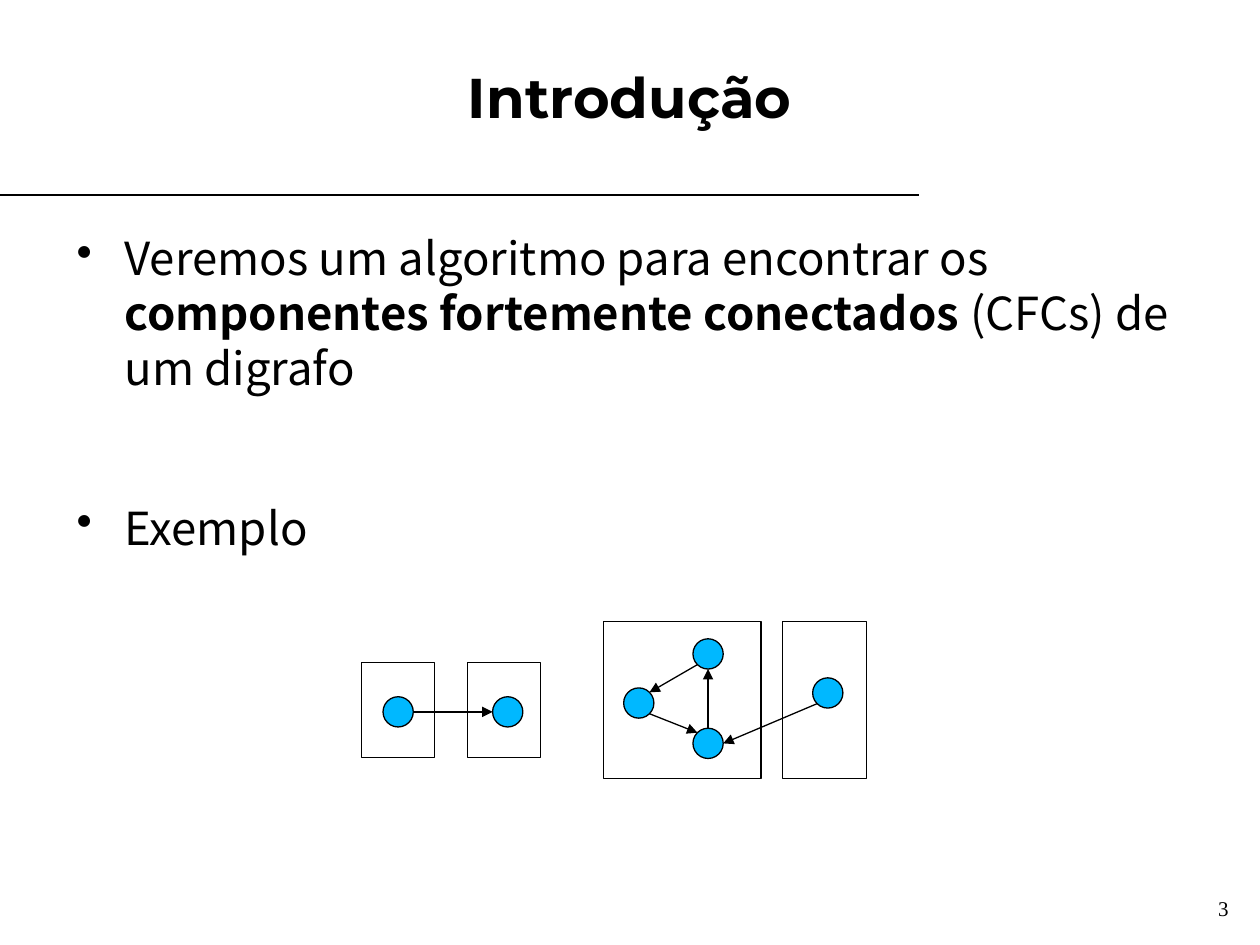
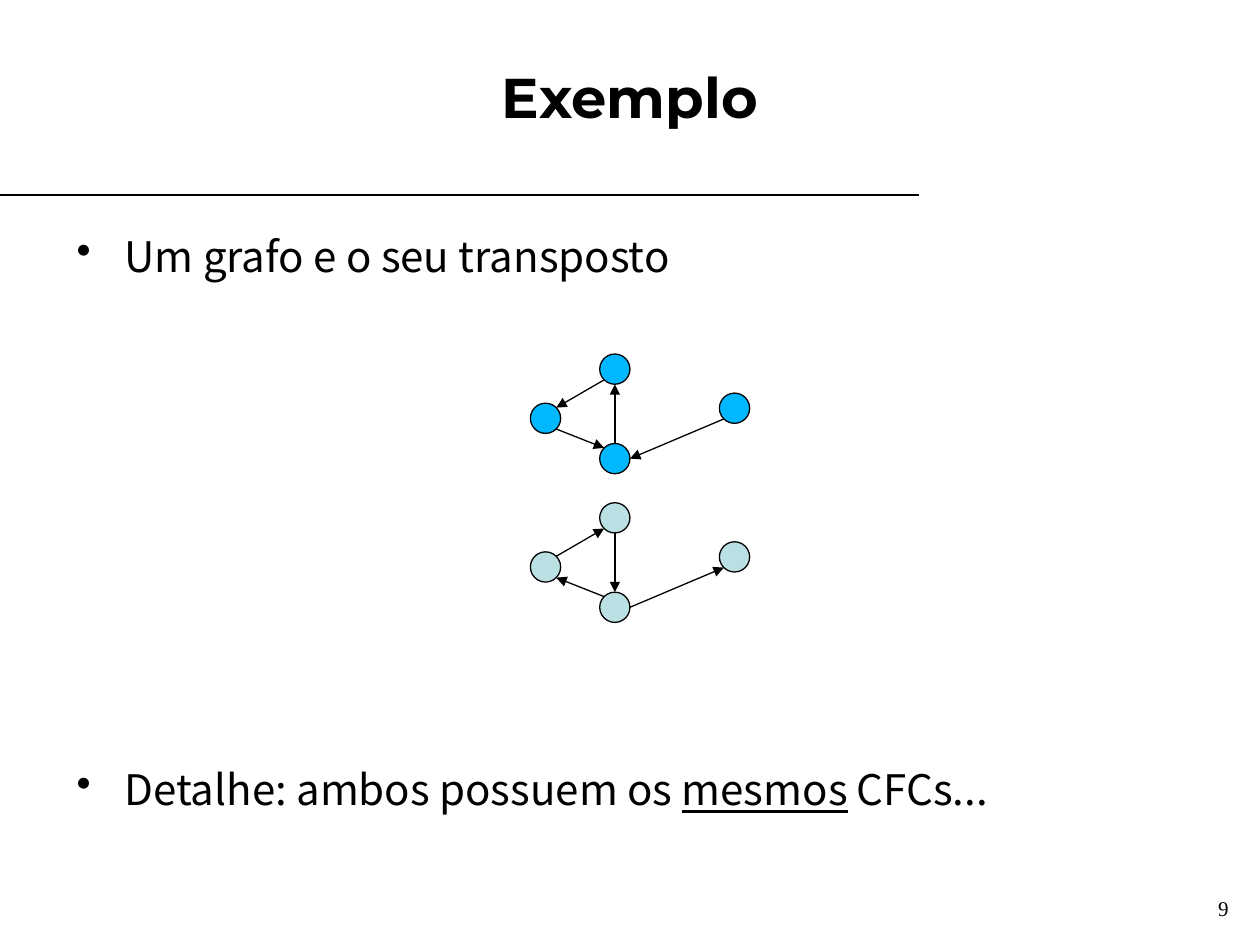
from math import cos, radians, sin

from lxml.etree import SubElement
from pptx import Presentation
from pptx.dml.color import RGBColor
from pptx.enum.shapes import MSO_CONNECTOR, MSO_SHAPE
from pptx.enum.text import MSO_ANCHOR, PP_ALIGN
from pptx.oxml.ns import qn
from pptx.util import Inches, Pt

HUES = {"ink": "000000", "node": "00B8FF", "flip": "BBE0E3"}
INK = RGBColor.from_string(HUES["ink"])
RAD = 0.12  # node radius

# Graphs: node centres from the first node, and edges as
# (from node, angle, to node, angle), angles clockwise from the right
PAIR = ([(0, 0), (0.87, 0)], [(0, 0, 1, 180)])
MESH = (
    [(0, 0), (0.55, 0.32), (0.55, -0.39), (1.5, -0.08)],
    [(2, 135, 0, 315), (0, 45, 1, 225), (1, 270, 2, 90), (3, 135, 1, 0)],
)

# Each run is (text, style); each graph is (x, y, graph, fill)
PAGES = [
    {
        "title": "Introdução", "num": "3", "size": 26, "gap": 55.4,
        "items": [
            [("Veremos um algoritmo para encontrar os ", ""),
             ("componentes fortemente conectados", "bold"),
             (" (CFCs) de um digrafo", "")],
            [("Exemplo", "")],
        ],
        "graphs": [(3.16, 5.65, PAIR, "node"), (5.07, 5.58, MESH, "node")],
        "frames": [(4.79, 4.93, 1.25, 1.25), (6.21, 4.93, 0.67, 1.25),
                   (3.71, 5.26, 0.58, 0.75), (2.87, 5.26, 0.58, 0.75)],
    },
    {
        "title": "Exemplo", "num": "9", "size": 24, "gap": 270.7,
        "items": [
            [("Um grafo e o seu transposto", "")],
            [("Detalhe: ambos possuem os ", ""), ("mesmos", "under"),
             (" CFCs...", "")],
        ],
        "graphs": [(4.33, 3.32, MESH, "node"), (4.33, 4.5, MESH, "flip")],
        "frames": [],
    },
]


def add_text(slide, box, face, size):
    frame = slide.shapes.add_textbox(*map(Inches, box)).text_frame
    frame.word_wrap = True
    par = frame.paragraphs[0]
    par.font.name, par.font.size = face, Pt(size)
    par.font.color.rgb = INK
    return frame, par


def add_line(shapes, start, end, width, end_tag=None):
    line = shapes.add_connector(
        MSO_CONNECTOR.STRAIGHT, *map(Inches, (*start, *end)))
    line.line.color.rgb = INK
    line.line.width = Pt(width)
    if end_tag:
        SubElement(line.line._get_or_add_ln(), qn(end_tag), type="triangle")
    SubElement(line._element.spPr, qn("a:effectLst"))


deck = Presentation()
deck.slide_width, deck.slide_height = Inches(10), Inches(7.5)

for page in PAGES:
    slide = deck.slides.add_slide(deck.slide_layouts[6])

    # Rule and title
    add_line(slide.shapes, (0, 1.55), (7.29, 1.55), 1)
    frame, par = add_text(slide, (0.5, 0.14, 9, 1.25), "Montserrat", 32)
    frame.vertical_anchor = MSO_ANCHOR.MIDDLE
    par.text, par.alignment = page["title"], PP_ALIGN.CENTER
    par.font.bold = True

    # Bulleted body
    frame, par = add_text(
        slide, (0.51, 1.78, 9, 5.15), "Noto Sans CJK JP", page["size"])
    for i, item in enumerate(page["items"]):
        if i:
            par = frame.add_paragraph()
        par.space_before = Pt(page["gap"] if i else 9.8)
        par.space_after = Pt(4.9)
        props = par._p.get_or_add_pPr()
        props.set("marL", str(Inches(0.38)))
        props.set("indent", str(-Inches(0.38)))
        mark = props.makeelement(qn("a:buChar"), {"char": "•"})
        par.font.name, par.font.size = "Noto Sans CJK JP", Pt(page["size"])
        par.font.color.rgb = INK
        props.find(qn("a:defRPr")).addprevious(mark)
        for text, style in item:
            run = par.add_run()
            run.text = text
            if style == "bold":
                run.font.bold = True
            elif style == "under":
                run.font.underline = True

    # Graphs
    for x, y, (nodes, edges), hue in page["graphs"]:
        group = slide.shapes.add_group_shape().shapes
        for dx, dy in nodes:
            dot = group.add_shape(MSO_SHAPE.OVAL, *map(
                Inches, (x + dx - RAD, y + dy - RAD, 2 * RAD, 2 * RAD)))
            dot.shadow.inherit = False
            dot.fill.solid()
            dot.fill.fore_color.rgb = RGBColor.from_string(HUES[hue])
            dot.line.color.rgb = INK
            dot.line.width = Pt(0.75)
        for a, turn_a, b, turn_b in edges:
            start, end = [
                (x + nodes[n][0] + RAD * cos(radians(turn)),
                 y + nodes[n][1] + RAD * sin(radians(turn)))
                for n, turn in ((a, turn_a), (b, turn_b))]
            tag = "a:headEnd" if hue == "flip" else "a:tailEnd"
            add_line(group, start, end, 0.75, tag)

    # Frames around the components
    for box in page["frames"]:
        rect = slide.shapes.add_shape(MSO_SHAPE.RECTANGLE, *map(Inches, box))
        rect.shadow.inherit = False
        rect.fill.background()
        rect.line.color.rgb = INK
        rect.line.width = Pt(0.75)

    # Page number
    frame, par = add_text(
        slide, (7.52, 7.06, 2.33, 0.29), "Times New Roman", 12)
    par.text, par.alignment = page["num"], PP_ALIGN.RIGHT

deck.save("out.pptx")
